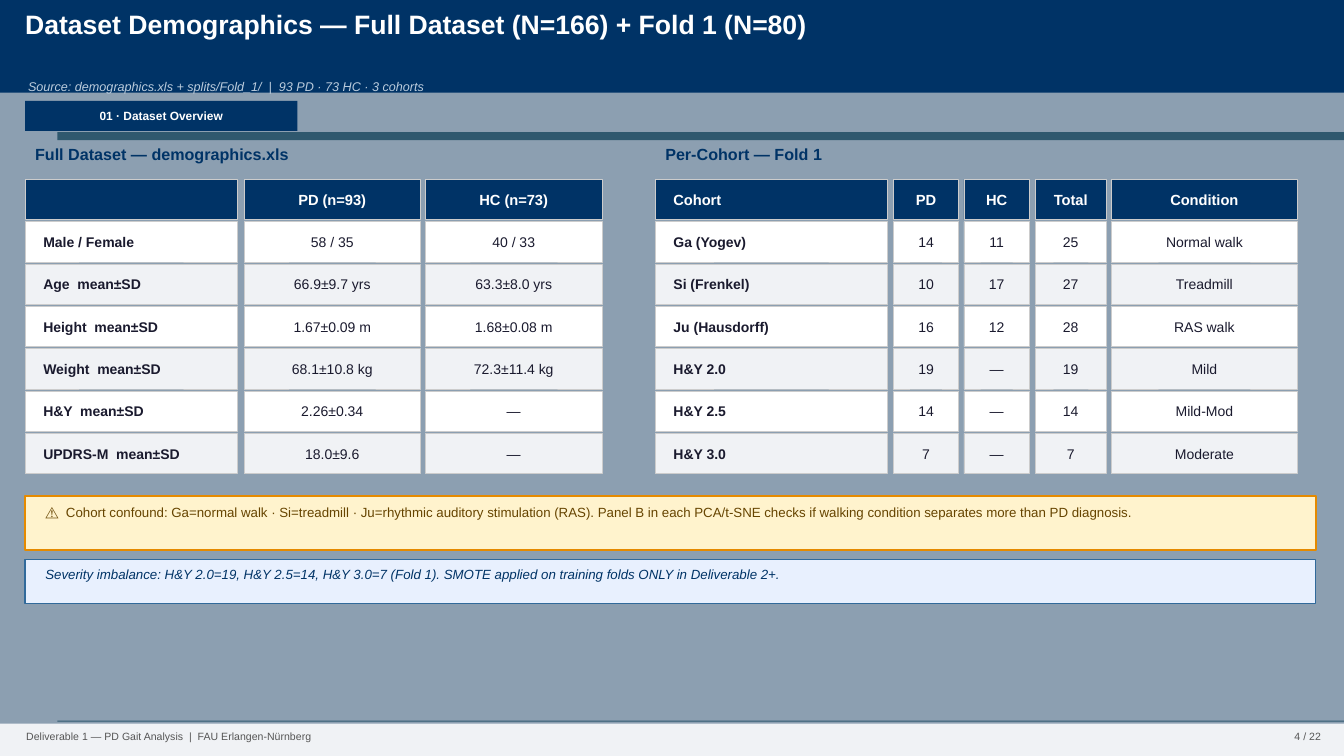
from pptx import Presentation
from pptx.dml.color import RGBColor
from pptx.enum.shapes import MSO_SHAPE
from pptx.enum.text import MSO_ANCHOR, MSO_AUTO_SIZE, PP_ALIGN
from pptx.util import Emu, Pt

RECTANGLE = MSO_SHAPE.RECTANGLE
TOP, MIDDLE = MSO_ANCHOR.TOP, MSO_ANCHOR.MIDDLE
LEFT, CENTER, RIGHT = PP_ALIGN.LEFT, PP_ALIGN.CENTER, PP_ALIGN.RIGHT
NO_AUTOFIT = MSO_AUTO_SIZE.NONE

EMU_PER_PX = 9144
SLIDE_WIDTH, SLIDE_HEIGHT = 1333, 750
TITLE_ONLY = 5
FONT = "Arial"
COLORS = {
    "background": "8C9FB1", "rule": "2F586E", "navy": "003366", "white": "FFFFFF",
    "subtitle": "BBCCDD", "stripe": "F0F2F5", "grid": "CCCCCC", "ink": "1A1A2E",
    "warning": "FFF3CD", "warning_line": "E58A00", "warning_text": "664400",
    "info": "E8F0FE", "info_line": "316A9B", "footer_text": "555555",
}

TABLE_TOP, ROW_STEP, ROW_HEIGHT, CELL_INSET = 178, 42, 40, 18
DATASET_COLUMNS = [(25, 210), (242, 175), (422, 175)]
DATASET_ROWS = [
    ["", "PD (n=93)", "HC (n=73)"],
    ["Male / Female", "58 / 35", "40 / 33"],
    ["Age  mean±SD", "66.9±9.7 yrs", "63.3±8.0 yrs"],
    ["Height  mean±SD", "1.67±0.09 m", "1.68±0.08 m"],
    ["Weight  mean±SD", "68.1±10.8 kg", "72.3±11.4 kg"],
    ["H&Y  mean±SD", "2.26±0.34", "—"],
    ["UPDRS-M  mean±SD", "18.0±9.6", "—"],
]
COHORT_COLUMNS = [(650, 230), (886, 65), (956, 65), (1027, 70), (1102, 185)]
COHORT_ROWS = [
    ["Cohort", "PD", "HC", "Total", "Condition"],
    ["Ga (Yogev)", "14", "11", "25", "Normal walk"],
    ["Si (Frenkel)", "10", "17", "27", "Treadmill"],
    ["Ju (Hausdorff)", "16", "12", "28", "RAS walk"],
    ["H&Y 2.0", "19", "—", "19", "Mild"],
    ["H&Y 2.5", "14", "—", "14", "Mild-Mod"],
    ["H&Y 3.0", "7", "—", "7", "Moderate"],
]


def px(length):
    return Emu(length * EMU_PER_PX)


def color(name):
    return RGBColor.from_string(COLORS[name])


def write_text(shape, text, size=10, ink="ink", bold=False, italic=False,
               align=LEFT, anchor=TOP, inset=10, inset_top=5):
    frame = shape.text_frame
    frame.word_wrap = True
    frame.auto_size = NO_AUTOFIT
    frame.vertical_anchor = anchor
    frame.margin_left, frame.margin_right = px(inset), px(10)
    frame.margin_top, frame.margin_bottom = px(inset_top), px(5)
    paragraph = frame.paragraphs[0]
    paragraph.text = text
    paragraph.alignment = align
    font = paragraph.font
    font.name, font.size = FONT, Pt(size)
    font.bold, font.italic = bold, italic
    font.color.rgb = color(ink)


class SlideBuilder:
    def __init__(self, slide):
        self.slide = slide
        fill = slide.background.fill
        fill.solid()
        fill.fore_color.rgb = color("background")

    def box(self, left, top, width, height, fill, line=None, line_width=0.5):
        shape = self.slide.shapes.add_shape(
            RECTANGLE, px(left), px(top), px(width), px(height))
        shape.shadow.inherit = False
        shape.fill.solid()
        shape.fill.fore_color.rgb = color(fill)
        if line:
            shape.line.color.rgb = color(line)
            shape.line.width = Pt(line_width)
        else:
            shape.line.fill.background()
        return shape

    def label(self, left, top, width, height, text, **text_format):
        shape = self.slide.shapes.add_textbox(px(left), px(top), px(width), px(height))
        write_text(shape, text, **text_format)

    def title(self, left, top, width, height, text, behind, **text_format):
        shape = self.slide.shapes.title
        shape.left, shape.top = px(left), px(top)
        shape.width, shape.height = px(width), px(height)
        write_text(shape, text, **text_format)
        behind.element.addnext(shape.element)

    def tile_table(self, columns, rows):
        for row_index, row in enumerate(rows):
            header = row_index == 0
            fill = "navy" if header else ("white" if row_index % 2 else "stripe")
            top = TABLE_TOP + row_index * ROW_STEP
            for column_index, ((left, width), text) in enumerate(zip(columns, row)):
                cell = self.box(left, top, width, ROW_HEIGHT, fill, "grid")
                first = column_index == 0
                if text:
                    write_text(cell, text, size=10.5 if header else 10,
                               ink="white" if header else "ink",
                               bold=header or first, anchor=MIDDLE,
                               align=LEFT if first else CENTER,
                               inset=CELL_INSET if first else 10)


def main():
    presentation = Presentation()
    presentation.slide_width, presentation.slide_height = px(SLIDE_WIDTH), px(SLIDE_HEIGHT)
    slide = presentation.slides.add_slide(presentation.slide_layouts[TITLE_ONLY])
    builder = SlideBuilder(slide)

    for top, height in [(715, 1), (131, 8)]:
        builder.box(57, top, SLIDE_WIDTH - 57, height, "rule")

    band = builder.box(0, 0, SLIDE_WIDTH, 92, "navy")
    builder.title(0, 3, 1250, 68, "Dataset Demographics — Full Dataset (N=166) + Fold 1 (N=80)",
                  behind=band, size=19, ink="white", bold=True, inset=25)
    builder.label(18, 73, 1250, 28,
                  "Source: demographics.xls + splits/Fold_1/  |  93 PD · 73 HC · 3 cohorts",
                  size=9, ink="subtitle", italic=True)
    section = builder.box(25, 100, 270, 30, "navy")
    write_text(section, "01 · Dataset Overview", size=8.5, ink="white", bold=True,
               align=CENTER, anchor=MIDDLE)

    for left, width, heading, columns, rows in [
        (25, 590, "Full Dataset — demographics.xls", DATASET_COLUMNS, DATASET_ROWS),
        (650, 660, "Per-Cohort — Fold 1", COHORT_COLUMNS, COHORT_ROWS),
    ]:
        builder.label(left, 138, width, 36, heading, size=11.5, ink="navy", bold=True)
        builder.tile_table(columns, rows)

    warning = builder.box(25, 492, 1280, 54, "warning", "warning_line", 1.2)
    write_text(warning, "⚠  Cohort confound: Ga=normal walk · Si=treadmill · Ju=rhythmic auditory "
               "stimulation (RAS). Panel B in each PCA/t-SNE checks if walking condition "
               "separates more than PD diagnosis.",
               size=9.5, ink="warning_text", inset=20, inset_top=8)
    severity = builder.box(25, 555, 1280, 44, "info", "info_line", 1)
    write_text(severity, "Severity imbalance: H&Y 2.0=19, H&Y 2.5=14, H&Y 3.0=7 (Fold 1). "
               "SMOTE applied on training folds ONLY in Deliverable 2+.",
               size=9.5, ink="navy", italic=True, inset=20, inset_top=7)

    builder.box(0, 718, SLIDE_WIDTH, 32, "stripe")
    builder.label(10, 719, 1000, 26, "Deliverable 1 — PD Gait Analysis  |  FAU Erlangen-Nürnberg",
                  size=7.5, ink="footer_text", inset=16)
    builder.label(1235, 719, 85, 26, "4 / 22", size=7.5, ink="footer_text", align=RIGHT)

    presentation.save("out.pptx")


if __name__ == "__main__":
    main()
